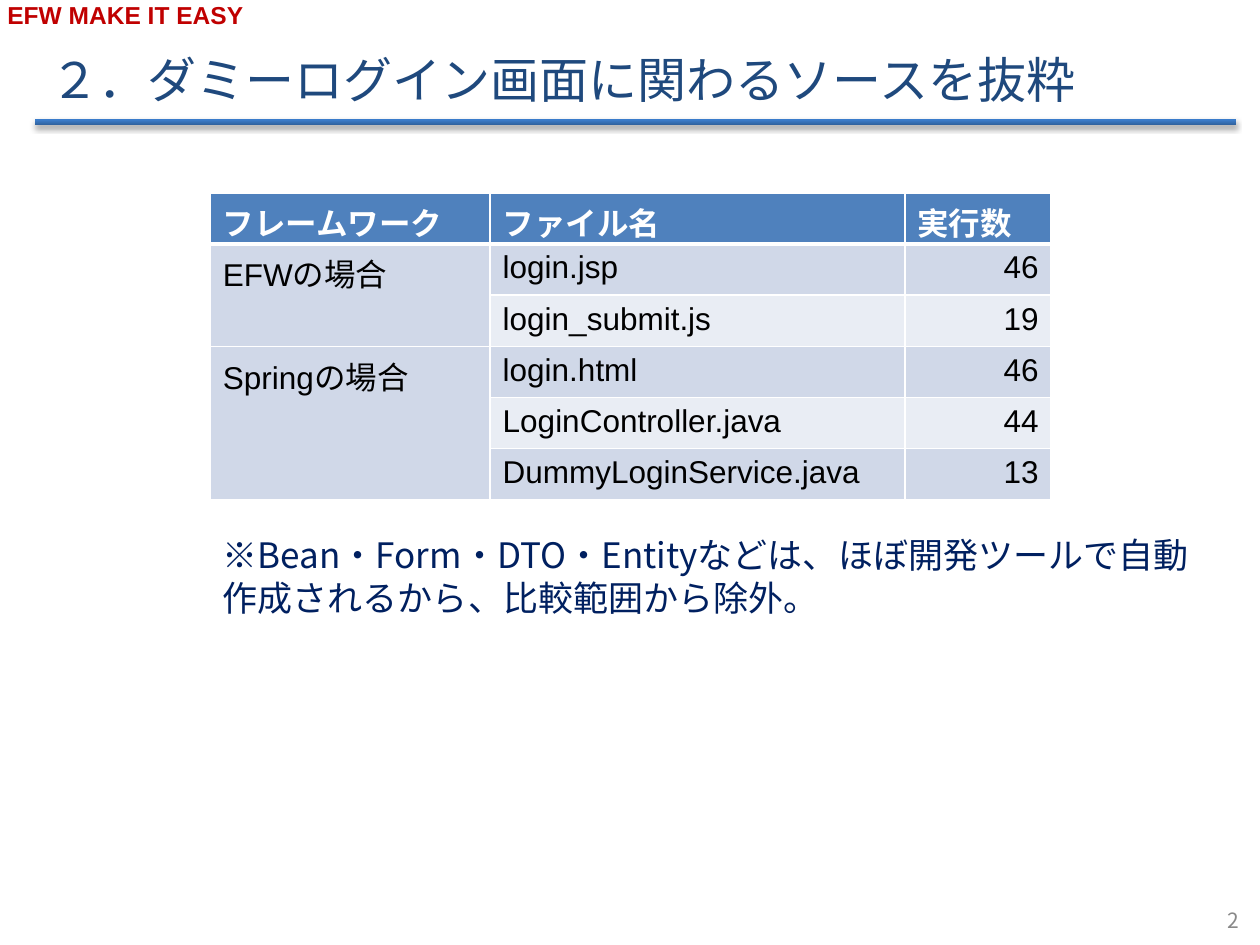
import pptx
import pptx.dml.color
import pptx.enum.shapes
import pptx.enum.text
import pptx.oxml
import pptx.oxml.ns
import pptx.util
from lxml import etree

Cm = pptx.util.Cm
Pt = pptx.util.Pt
RGBColor = pptx.dml.color.RGBColor
Align = pptx.enum.text.PP_ALIGN
Anchor = pptx.enum.text.MSO_ANCHOR
Shape = pptx.enum.shapes.MSO_SHAPE
qn = pptx.oxml.ns.qn

WHITE = RGBColor(0xFF, 0xFF, 0xFF)
BLACK = RGBColor(0x00, 0x00, 0x00)
RED = RGBColor(0xC0, 0x00, 0x00)
TITLE_BLUE = RGBColor(0x1F, 0x49, 0x7D)
NOTE_BLUE = RGBColor(0x00, 0x20, 0x60)
GREY = RGBColor(0x89, 0x89, 0x89)
HEADER_FILL = RGBColor(0x4F, 0x81, 0xBD)
BAND_FILLS = (RGBColor(0xD0, 0xD8, 0xE8), RGBColor(0xE9, 0xED, 0xF4))
RULE_STOPS = (
    (0, RGBColor(0x2F, 0x5F, 0x99)),
    (80, RGBColor(0x3D, 0x7C, 0xC7)),
    (100, RGBColor(0x3A, 0x7C, 0xCB)),
)

LATIN = "Arial"
JAPANESE = "Noto Sans CJK JP"
NAMESPACE = 'xmlns:a="http://schemas.openxmlformats.org/drawingml/2006/main"'

HEADERS = ("フレームワーク", "ファイル名", "実行数")
SOURCES = {
    "EFWの場合": (("login.jsp", 46), ("login_submit.js", 19)),
    "Springの場合": (
        ("login.html", 46),
        ("LoginController.java", 44),
        ("DummyLoginService.java", 13),
    ),
}


def write_text(frame, text, size=18, font=JAPANESE, color=BLACK, bold=False,
               align=Align.LEFT, spacing=None, after=None):
    para = frame.paragraphs[0]
    para.alignment = align
    if spacing is not None:
        para.line_spacing = spacing
    if after is not None:
        para.space_after = after
    span = para.add_run()
    span.text = text
    span.font.size = Pt(size)
    span.font.name = font
    span.font.bold = bold
    span.font.color.rgb = color
    east_asian = etree.SubElement(span.font._element, qn("a:ea"))
    east_asian.set("typeface", JAPANESE)


class SlideBuilder:
    def __init__(self, deck):
        self.page = deck.slides.add_slide(deck.slide_layouts[6])

    def text(self, place, text, anchor=Anchor.TOP, fill=None, **style):
        box = self.page.shapes.add_textbox(*map(Cm, place))
        if fill is not None:
            box.fill.solid()
            box.fill.fore_color.rgb = fill
        box.text_frame.word_wrap = True
        box.text_frame.vertical_anchor = anchor
        write_text(box.text_frame, text, **style)

    def rule(self, place):
        """Draw the shaded bar below the title."""
        bar = self.page.shapes.add_shape(Shape.ROUNDED_RECTANGLE, *map(Cm, place))
        bar.line.fill.background()
        bar.shadow.inherit = False
        stops = "".join(
            f'<a:gs pos="{position * 1000}"><a:srgbClr val="{color}"/></a:gs>'
            for position, color in RULE_STOPS)
        properties = bar._element.spPr
        properties.find(qn("a:ln")).addprevious(pptx.oxml.parse_xml(
            f'<a:gradFill {NAMESPACE} rotWithShape="1"><a:gsLst>{stops}</a:gsLst>'
            '<a:lin ang="16200000" scaled="0"/></a:gradFill>'))
        properties.find(qn("a:effectLst")).append(pptx.oxml.parse_xml(
            f'<a:outerShdw {NAMESPACE} blurRad="{Pt(3.1)}" dist="{Pt(1.8)}" '
            'dir="5400000" rotWithShape="0"><a:srgbClr val="000000">'
            '<a:alpha val="35000"/></a:srgbClr></a:outerShdw>'))

    def cell(self, cell, fill, bottom=1, top=1):
        """Give a cell its fill and white borders."""
        properties = cell._tc.get_or_add_tcPr()
        for side, width in zip("LRTB", (1, 1, top, bottom)):
            properties.append(pptx.oxml.parse_xml(
                f'<a:ln{side} {NAMESPACE} w="{Pt(width)}"><a:solidFill>'
                f'<a:srgbClr val="{WHITE}"/></a:solidFill></a:ln{side}>'))
        cell.fill.solid()
        cell.fill.fore_color.rgb = fill

    def table(self, left, top, widths, row_height, headers, groups):
        count = 1 + sum(len(files) for files in groups.values())
        table = self.page.shapes.add_table(
            count, len(widths), Cm(left), Cm(top),
            Cm(sum(widths)), Cm(row_height * count)).table
        for column, width in zip(table.columns, widths):
            column.width = Cm(width)
        for index, header in enumerate(headers):
            cell = table.cell(0, index)
            self.cell(cell, HEADER_FILL, bottom=3)
            write_text(cell.text_frame, header, font=LATIN, color=WHITE, bold=True)
        row = 1
        for framework, files in groups.items():
            first = table.cell(row, 0)
            write_text(first.text_frame, framework, font=LATIN)
            for offset, (name, lines) in enumerate(files):
                current = row + offset
                fills = (BAND_FILLS[0],) + (BAND_FILLS[(current - 1) % 2],) * 2
                for index, fill in enumerate(fills):
                    self.cell(table.cell(current, index), fill,
                              top=3 if current == 1 else 1)
                write_text(table.cell(current, 1).text_frame, name, font=LATIN)
                write_text(table.cell(current, 2).text_frame, str(lines),
                           font=LATIN, align=Align.RIGHT)
            row += len(files)
            first.merge(table.cell(row - 1, 0))


def main():
    deck = pptx.Presentation()
    deck.slide_width, deck.slide_height = Cm(25.4), Cm(19.05)
    slide = SlideBuilder(deck)
    slide.rule((0.71, 2.4, 24.2, 0.13))
    slide.text((-0.1, -0.13, 9, 0.86), "EFW MAKE IT EASY",
               size=14, font=LATIN, color=RED, bold=True)
    slide.text((0.76, 0.76, 22.86, 1.55), "２．ダミーログイン画面に関わるソースを抜粋",
               anchor=Anchor.MIDDLE, size=28, color=TITLE_BLUE, spacing=1.1)
    slide.text((19.3, 18.03, 5.92, 1.02), "2", anchor=Anchor.MIDDLE,
               size=12, color=GREY, align=Align.RIGHT)
    slide.table(4.24, 3.89, (5.64, 8.36, 2.95), 1.03, HEADERS, SOURCES)
    slide.text((4.24, 10.64, 20.68, 1.96),
               "※Bean・Form・DTO・Entityなどは、ほぼ開発ツールで自動作成されるから、比較範囲から除外。",
               fill=WHITE, size=20, color=NOTE_BLUE, spacing=Pt(24), after=Pt(6))
    deck.save("out.pptx")


if __name__ == "__main__":
    main()
